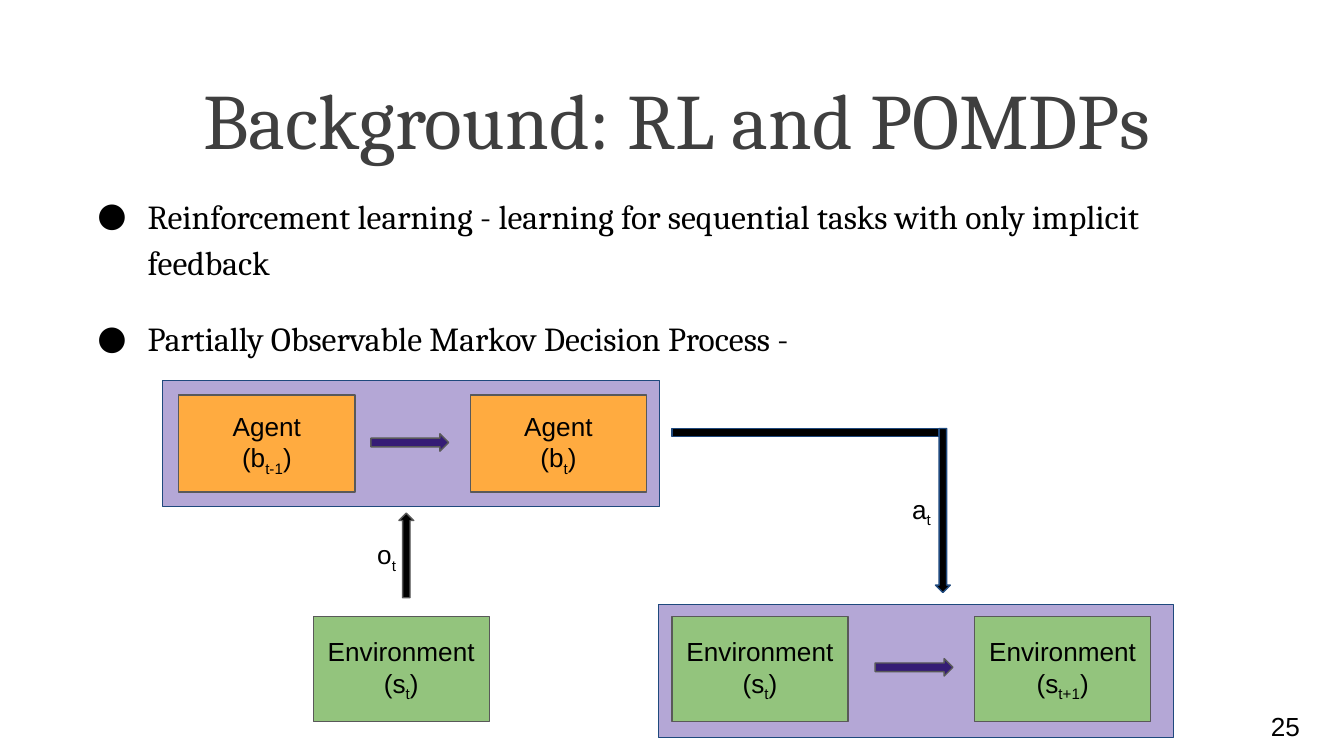
"""Build the slide on reinforcement learning and POMDPs."""
from lxml import etree
from pptx import Presentation
from pptx import util as u
from pptx.dml.color import RGBColor
from pptx.enum import shapes, text
from pptx.oxml import ns

BLACK, GREY, NAVY = "000000", "595959", "1F497D"
LILAC, PURPLE, ORANGE, GREEN = "B4A7D6", "351C75", "FFAB40", "93C47D"
KIND, ALIGN, ANCHOR = shapes.MSO_SHAPE, text.PP_ALIGN, text.MSO_ANCHOR


def write(frame, lines, size=14, font="Arial", color=BLACK,
          align=ALIGN.LEFT, anchor=ANCHOR.TOP, bullet=None):
    """Fill a text frame; parts between underscores become subscripts."""
    frame.word_wrap = True
    frame.auto_size = text.MSO_AUTO_SIZE.NONE
    frame.vertical_anchor = anchor
    frame.margin_left = frame.margin_right = u.Cm(0.25)
    frame.margin_top = frame.margin_bottom = u.Cm(0.25)
    for i, line in enumerate(lines):
        paragraph = frame.add_paragraph() if i else frame.paragraphs[0]
        paragraph.alignment = align
        paragraph.space_before = u.Pt(0)
        if bullet:
            properties = paragraph._p.get_or_add_pPr()
            properties.set("marL", str(u.Cm(1.27)))
            properties.set("indent", str(u.Cm(-0.95)))
            tint = etree.SubElement(properties, ns.qn("a:buClr"))
            etree.SubElement(tint, ns.qn("a:srgbClr"), val=color)
            etree.SubElement(properties, ns.qn("a:buFont"), typeface=font)
            etree.SubElement(properties, ns.qn("a:buChar"), char=bullet)
            paragraph.line_spacing = 1.15
            paragraph.space_after = u.Pt(16)
        for j, part in enumerate(line.split("_")):
            if not part:
                continue
            run = paragraph.add_run()
            run.text = part
            run.font.size = u.Pt(size)
            run.font.name = font
            run.font.color.rgb = RGBColor.from_string(color)
            if j % 2:
                run._r.get_or_add_rPr().set("baseline", "-25000")


def block(kind, left, top, width, height, fill, line=GREY):
    """Add a filled preset shape, measured in centimetres."""
    shape = slide.shapes.add_shape(kind, u.Cm(left), u.Cm(top), u.Cm(width), u.Cm(height))
    shape.shadow.inherit = False
    shape.fill.solid()
    shape.fill.fore_color.rgb = RGBColor.from_string(fill)
    shape.line.color.rgb = RGBColor.from_string(line)
    shape.line.width = u.Pt(0.75)
    return shape


deck = Presentation()
deck.slide_width, deck.slide_height = u.Cm(25.4), u.Cm(14.29)
slide = deck.slides.add_slide(deck.slide_layouts[1])

title, points = slide.placeholders
title.left, title.top, title.width, title.height = map(u.Cm, (0.48, 1.04, 24.61, 2.39))
write(title.text_frame, ["Background: RL and POMDPs"], size=42, font="Cambria",
      color="3F3F3F", align=ALIGN.CENTER, anchor=ANCHOR.MIDDLE)
points.left, points.top, points.width, points.height = map(u.Cm, (1.27, 3.33, 22.86, 2.72))
write(points.text_frame, [
    "Reinforcement learning - learning for sequential tasks with only implicit feedback",
    "Partially Observable Markov Decision Process -",
], size=18, font="Cambria", bullet="●")

block(KIND.RECTANGLE, 12.45, 11.43, 9.73, 2.51, LILAC, NAVY)
block(KIND.RECTANGLE, 3.07, 7.19, 9.4, 2.39, LILAC, NAVY)

for role, state, left, top, height, fill in [
    ("Agent", "(b_t-1_)", 3.38, 7.47, 1.83, ORANGE),
    ("Agent", "(b_t_)", 8.89, 7.47, 1.83, ORANGE),
    ("Environment", "(s_t_)", 5.92, 11.66, 1.98, GREEN),
    ("Environment", "(s_t_)", 12.7, 11.66, 1.98, GREEN),
    ("Environment", "(s_t+1_)", 18.42, 11.66, 1.98, GREEN),
]:
    node = block(KIND.RECTANGLE, left, top, 3.33, height, fill)
    write(node.text_frame, [role, state], align=ALIGN.CENTER, anchor=ANCHOR.MIDDLE)

for left, top in [(7.01, 8.2), (16.54, 12.45)]:
    block(KIND.RIGHT_ARROW, left, top, 1.47, 0.33, PURPLE)
block(KIND.UP_ARROW, 7.54, 9.7, 0.28, 1.6, BLACK)
block(KIND.DOWN_ARROW, 17.68, 8.1, 0.28, 3.1, BLACK, NAVY)
block(KIND.RECTANGLE, 12.7, 8.1, 5.05, 0.15, BLACK, NAVY)

for label, left, top, width, height, anchor in [
    ("o_t", 6.88, 9.93, 1.02, 1.52, ANCHOR.TOP),
    ("a_t", 16.99, 9.07, 1.27, 1.52, ANCHOR.TOP),
    ("25", 23.77, 13.18, 1.52, 1.09, ANCHOR.MIDDLE),
]:
    caption = slide.shapes.add_textbox(u.Cm(left), u.Cm(top), u.Cm(width), u.Cm(height))
    write(caption.text_frame, [label], anchor=anchor)

deck.save("out.pptx")
